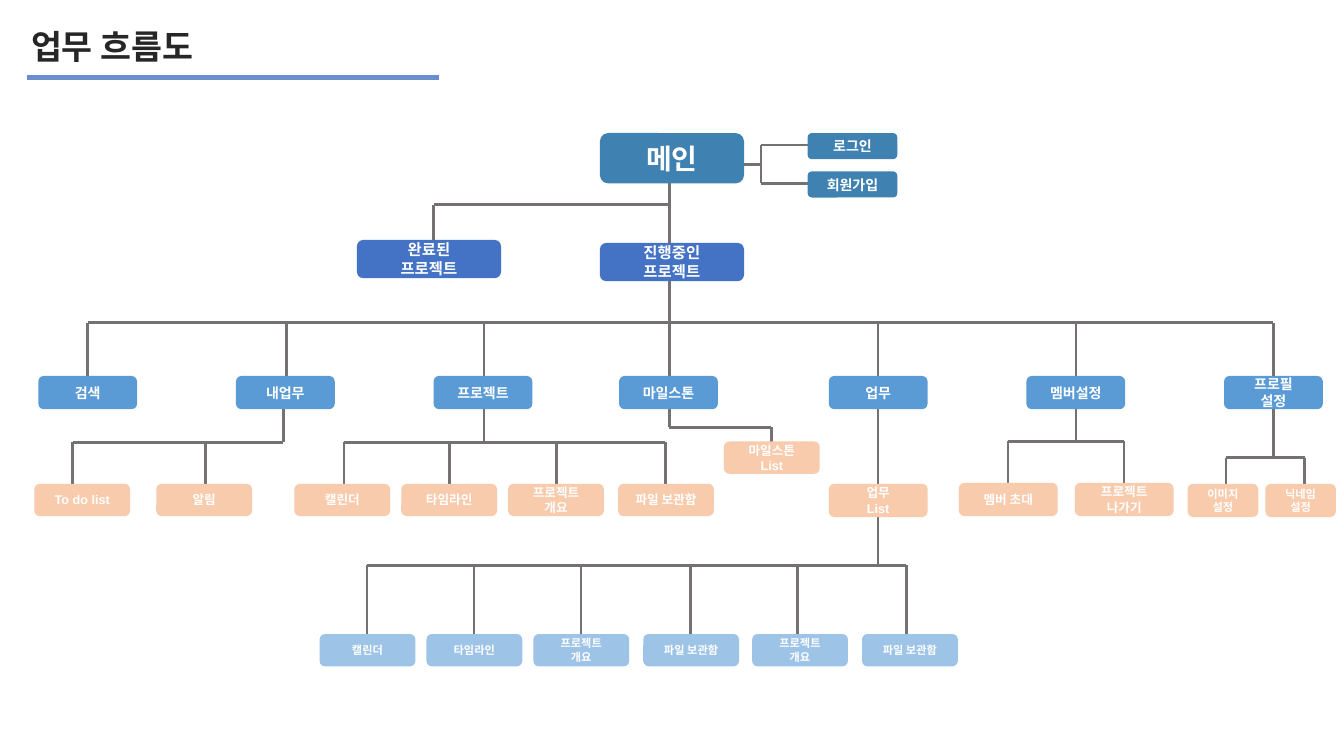
from typing import Any, NamedTuple

import lxml.etree
import pptx
import pptx.dml.color
import pptx.enum.dml
import pptx.enum.shapes
import pptx.enum.text
import pptx.oxml.ns
import pptx.util

Inches = pptx.util.Inches
Pt = pptx.util.Pt
KOREAN_FONT = "Noto Sans CJK KR"
LINE_COLOR = "767171"


class Style(NamedTuple):
    fill: str
    text_size: float
    width: float
    height: float


class Box(NamedTuple):
    style: Style
    left: float
    top: float
    text: str


class Branch(NamedTuple):
    """A horizontal line with drops of equal length below it."""
    left: float
    right: float
    top: float
    drops: tuple[float, ...]
    bottom: float


class Stem(NamedTuple):
    x: float
    top: float
    bottom: float


MAIN = Style("3F82B2", 20, 1.43, 0.5)
ACCOUNT = Style("3F82B2", 10, 0.89, 0.26)
STATUS = Style("4472C4", 11, 1.43, 0.38)
MENU = Style("5B9BD5", 10, 0.98, 0.33)
PAGE = Style("F8CBAD", 9, 0.95, 0.32)
WIDE_PAGE = Style("F8CBAD", 9, 0.98, 0.33)
PROFILE_PAGE = Style("F8CBAD", 8, 0.7, 0.33)
DETAIL = Style("9DC3E6", 8, 0.95, 0.32)

PROJECT_VIEWS = ("캘린더", "타임라인", "프로젝트\n개요", "파일 보관함")
PROJECT_OFFSETS = (0, 1.06, 2.12, 3.21)
MENU_TOP = 3.73
MENUS = {
    0.38: "검색", 2.34: "내업무", 4.3: "프로젝트", 6.14: "마일스톤",
    8.22: "업무", 10.18: "멤버설정", 12.14: "프로필\n설정",
}
BOXES = [
    Box(MAIN, 5.95, 1.32, "메인"),
    Box(ACCOUNT, 8.01, 1.32, "로그인"),
    Box(ACCOUNT, 8.01, 1.7, "회원가입"),
    Box(STATUS, 5.95, 2.41, "진행중인\n프로젝트"),
    Box(STATUS, 3.54, 2.38, "완료된\n프로젝트"),
    *(Box(MENU, left, MENU_TOP, text) for left, text in MENUS.items()),
    Box(PAGE, 0.34, 4.8, "To do list"),
    Box(PAGE, 1.55, 4.8, "알림"),
    *(Box(PAGE, 2.92 + offset, 4.8, text)
      for offset, text in zip(PROJECT_OFFSETS, PROJECT_VIEWS)),
    Box(PAGE, 7.18, 4.38, "마일스톤\nList"),
    Box(WIDE_PAGE, 8.22, 4.8, "업무\nList"),
    Box(WIDE_PAGE, 9.51, 4.79, "멤버 초대"),
    Box(WIDE_PAGE, 10.66, 4.79, "프로젝트\n나가기"),
    Box(PROFILE_PAGE, 11.78, 4.8, "이미지\n설정"),
    Box(PROFILE_PAGE, 12.55, 4.8, "닉네임\n설정"),
    *(Box(DETAIL, 3.17 + offset, 6.29, text)
      for offset, text in zip((*PROJECT_OFFSETS, 4.29, 5.38),
                              PROJECT_VIEWS + PROJECT_VIEWS[2:])),
]

BRANCHES = [
    Branch(4.3, 6.64, 2.03, (4.3,), 2.54),
    Branch(0.87, 12.63, 3.2, (0.87, 2.84), MENU_TOP),
    Branch(0.72, 2.81, 4.39, (0.72, 2.04), 4.89),
    Branch(3.41, 6.6, 4.39, (3.41, 4.46, 5.52, 6.6), 4.89),
    Branch(6.64, 7.65, 4.24, (7.65,), 4.7),
    Branch(10, 11.15, 4.38, (10, 11.15), 4.88),
    Branch(12.16, 12.94, 4.54, (12.16, 12.94), 5.03),
    Branch(3.64, 8.99, 5.61, (3.64, 4.7, 5.76, 6.85, 7.91, 8.99), 6.45),
]
STEMS = [
    Stem(6.64, 1.68, 2.41),
    Stem(6.64, 2.46, 3.2),
    Stem(2.81, 3.9, 4.39),
    Stem(4.8, 3.2, 4.39),
    Stem(6.64, 3.2, 4.24),
    Stem(8.71, 3.2, 5.61),
    Stem(10.67, 3.2, 4.38),
    Stem(12.63, 3.2, 4.54),
    Stem(7.55, 1.44, 1.82),
]


def color(value: str) -> pptx.dml.color.RGBColor:
    return pptx.dml.color.RGBColor.from_string(value)


def set_values(target: Any, values: dict[str, Any]) -> None:
    for name, value in values.items():
        setattr(target, name, value)


def add_line(slide: Any, start: tuple[float, float], end: tuple[float, float],
             line_color: str = LINE_COLOR, width: float = 1.75) -> None:
    connector = slide.shapes.add_connector(
        pptx.enum.shapes.MSO_CONNECTOR.STRAIGHT,
        *(Inches(length) for length in (*start, *end)))
    connector.line.color.rgb = color(line_color)
    connector.line.width = Pt(width)
    properties = connector._element.spPr
    lxml.etree.SubElement(properties, pptx.oxml.ns.qn("a:effectLst"))


def write_text(shape: Any, text: str, size: float, font_name: str,
               font_color: str, alignment: Any) -> None:
    frame = shape.text_frame
    set_values(frame, {
        "text": text,
        "word_wrap": True,
        "vertical_anchor": pptx.enum.text.MSO_ANCHOR.MIDDLE,
    })
    for paragraph in frame.paragraphs:
        paragraph.alignment = alignment
        for run in paragraph.runs:
            set_values(run.font, {"name": font_name, "size": Pt(size), "bold": True})
            run.font.color.rgb = color(font_color)
            east_asian = lxml.etree.SubElement(
                run._r.get_or_add_rPr(), pptx.oxml.ns.qn("a:ea"))
            east_asian.set("typeface", KOREAN_FONT)


def add_title(slide: Any) -> None:
    add_line(slide, (0.27, 0.77), (4.35, 0.77), "698ED0", 3)
    title = slide.shapes.add_textbox(
        Inches(0.21), Inches(0.09), Inches(3.83), Inches(0.79))
    write_text(title, "업무 흐름도", 24, KOREAN_FONT, "262626",
               pptx.enum.text.PP_ALIGN.LEFT)
    title.text_frame.paragraphs[0].line_spacing = 0.9


def add_box(slide: Any, box: Box) -> None:
    style = box.style
    shape = slide.shapes.add_shape(
        pptx.enum.shapes.MSO_SHAPE.ROUNDED_RECTANGLE,
        Inches(box.left), Inches(box.top), Inches(style.width), Inches(style.height))
    shape.shadow.inherit = False
    shape.fill.solid()
    shape.fill.fore_color.rgb = color(style.fill)
    shape.line.fill.background()
    write_text(shape, box.text, style.text_size, "Arial", "FFFFFF",
               pptx.enum.text.PP_ALIGN.CENTER)


def add_branch(slide: Any, branch: Branch) -> None:
    add_line(slide, (branch.left, branch.top), (branch.right, branch.top))
    for x in branch.drops:
        add_line(slide, (x, branch.bottom), (x, branch.top))


def main() -> None:
    presentation = pptx.Presentation()
    set_values(presentation, {"slide_width": Inches(13.33), "slide_height": Inches(7.5)})
    slide = presentation.slides.add_slide(presentation.slide_layouts[6])
    add_title(slide)
    for branch in BRANCHES:
        add_branch(slide, branch)
    for stem in STEMS:
        add_line(slide, (stem.x, stem.bottom), (stem.x, stem.top))
    add_line(slide, (6.77, 1.63), (7.55, 1.63))
    for y in (1.44, 1.82):
        add_line(slide, (7.55, y), (8.33, y))
    for box in BOXES:
        add_box(slide, box)
    presentation.save("out.pptx")


if __name__ == "__main__":
    main()
